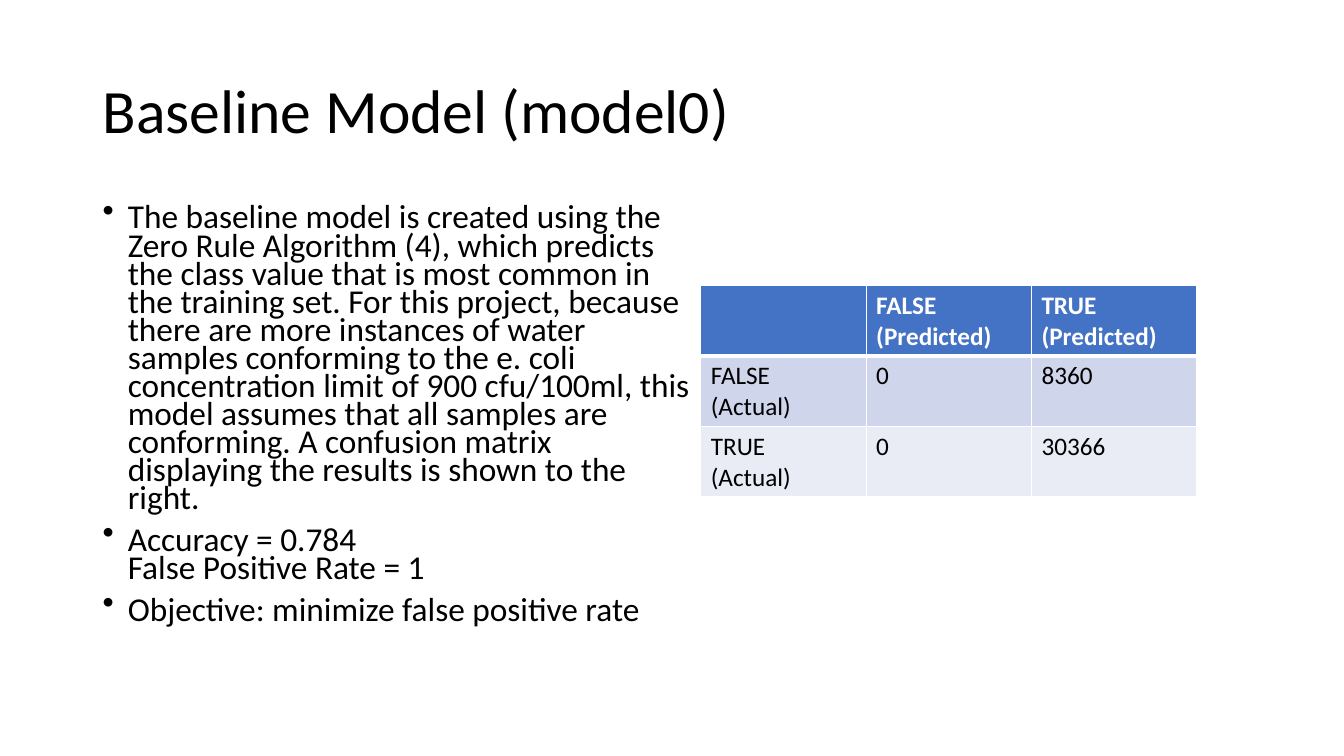
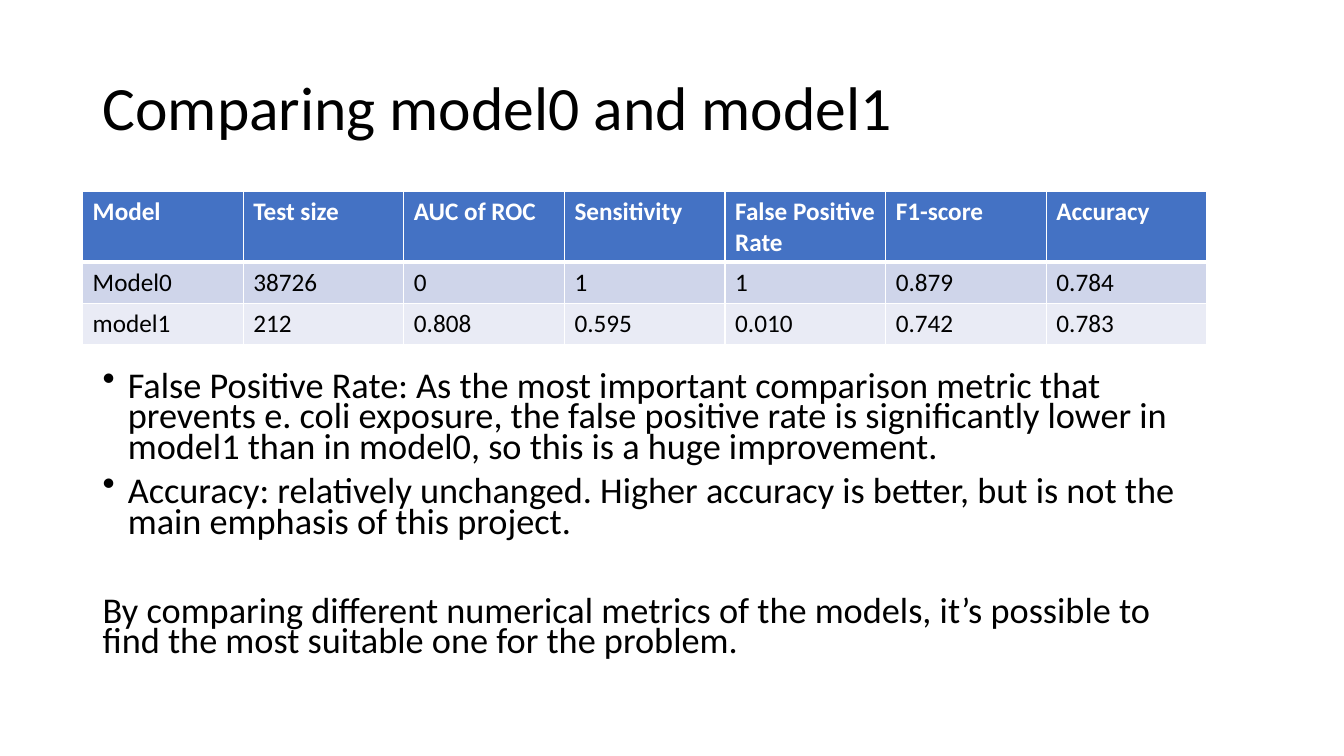
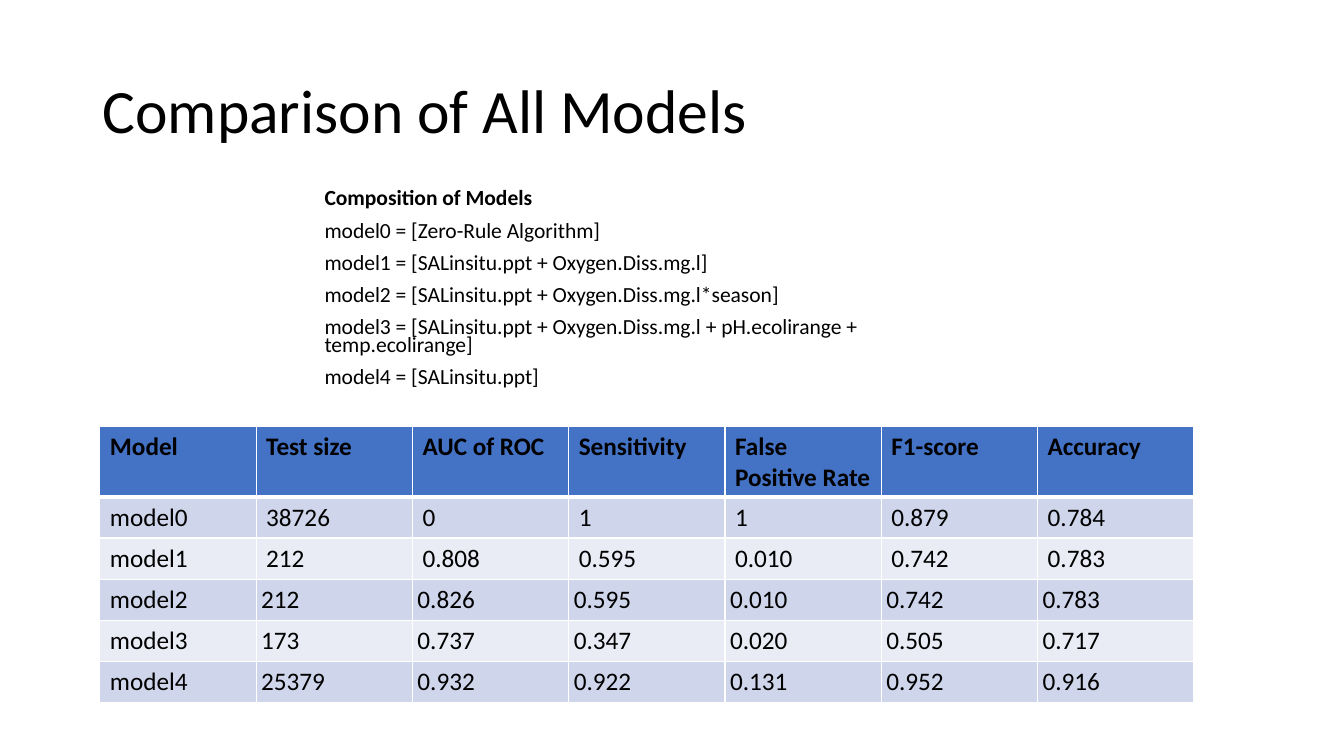
import dataclasses

import pptx
import pptx.dml.color
import pptx.enum.text
import pptx.oxml
import pptx.oxml.ns
import pptx.util

Pt = pptx.util.Pt


@dataclasses.dataclass(frozen=True)
class Theme:
    """Colours, font and type sizes shared by the slides."""
    font: str = "Calibri"
    ink: str = "000000"
    paper: str = "FFFFFF"
    header: str = "4472C4"
    bands: tuple = ("CFD5EA", "E9EBF5")
    title: float = 44
    cell: float = 18
    line_pitch: float = 0.7
    space: float = 10
    tall_row: float = 9.33
    low_row: float = 5.44


THEME = Theme()
METRICS = ["Model", "Test size", "AUC of ROC", "Sensitivity",
           "False Positive Rate", "F1-score", "Accuracy"]
BASELINE = ["38726", "0", "1", "1", "0.879", "0.784"]
MODEL1 = ["model1", "212", "0.808", "0.595", "0.010", "0.742", "0.783"]


def rgb(value):
    """Return a colour object for a hex string."""
    return pptx.dml.color.RGBColor.from_string(value)


def place(prs, box):
    """Turn a box in percent of the slide into lengths."""
    sides = (prs.slide_width, prs.slide_height) * 2
    return [int(side * share / 100) for side, share in zip(sides, box)]


def style(p, size, color=THEME.ink, bold=False):
    """Set the font of a paragraph."""
    p.font.name, p.font.size, p.font.bold = THEME.font, Pt(size), bold
    p.font.color.rgb = rgb(color)


def add_bullet(p):
    """Give a paragraph a hanging round bullet."""
    pPr = p._p.get_or_add_pPr()
    pPr.set("marL", str(pptx.util.Inches(0.25)))
    pPr.set("indent", str(-pptx.util.Inches(0.25)))
    bullet = pptx.oxml.parse_xml(
        f'<a:buChar {pptx.oxml.ns.nsdecls("a")} char="•"/>')
    pPr.insert_element_before(bullet, "a:tabLst", "a:defRPr", "a:extLst")


def add_text(prs, s, box):
    """Add a wrapping text box and return its frame."""
    tf = s.shapes.add_textbox(*place(prs, box)).text_frame
    tf.word_wrap = True
    return tf


def add_slide(prs, title, top=5.33):
    """Add a blank slide with its title."""
    s = prs.slides.add_slide(prs.slide_layouts[6])
    tf = add_text(prs, s, (6.9, top, 86.27, 19.33))
    tf.vertical_anchor = pptx.enum.text.MSO_ANCHOR.MIDDLE
    p = tf.paragraphs[0]
    p.text, p.line_spacing = title, 0.9
    style(p, THEME.title)
    return s


def add_body(prs, s, box, lines, size, bullets=0, bold_lines=0):
    """Add body paragraphs, the first ones bulleted or bold, and return them."""
    tf = add_text(prs, s, box)
    for i, line in enumerate(lines):
        p = tf.add_paragraph() if i else tf.paragraphs[0]
        p.text, p.line_spacing = line, THEME.line_pitch
        p.space_before = Pt(THEME.space)
        style(p, size, bold=i < bold_lines)
        if i < bullets:
            add_bullet(p)
    return tf.paragraphs


def add_borders(cell, top, bottom):
    """Draw white cell borders with the given top and bottom widths."""
    tcPr = cell._tc.get_or_add_tcPr()
    for side, width in zip("LRTB", (1, 1, top, bottom)):
        tcPr.append(pptx.oxml.parse_xml(
            f'<a:ln{side} {pptx.oxml.ns.nsdecls("a")} w="{Pt(width)}">'
            f'<a:solidFill><a:srgbClr val="{THEME.paper}"/></a:solidFill>'
            f'</a:ln{side}>'))


def tighten(cell):
    """Centre a cell vertically and narrow its margins."""
    cell.vertical_anchor = pptx.enum.text.MSO_ANCHOR.MIDDLE
    cell.margin_left = cell.margin_right = pptx.util.Inches(0.05)
    cell.margin_top = cell.margin_bottom = pptx.util.Inches(0.02)


def add_grid(prs, s, origin, width, rows, row_share=THEME.low_row,
             header_ink=THEME.paper, tight_from=None):
    """Add a banded table with equal columns and a taller header."""
    shares = [THEME.tall_row] + [row_share] * (len(rows) - 1)
    box = (*origin, width, sum(shares))
    table = s.shapes.add_table(len(rows), len(rows[0]), *place(prs, box)).table
    table.first_row = table.horz_banding = False
    for i, values in enumerate(rows):
        table.rows[i].height = int(prs.slide_height * shares[i] / 100)
        fill = THEME.bands[(i - 1) % 2] if i else THEME.header
        for j, value in enumerate(values):
            cell = table.cell(i, j)
            cell.text = value
            add_borders(cell, 3 if i == 1 else 1, 1 if i else 3)
            cell.fill.solid()
            cell.fill.fore_color.rgb = rgb(fill)
            for p in cell.text_frame.paragraphs:
                style(p, THEME.cell, THEME.ink if i else header_ink, i == 0)
            if tight_from and i >= tight_from and j:
                tighten(cell)


def baseline_slide(prs):
    """Build the slide on the baseline model."""
    s = add_slide(prs, "Baseline Model (model0)")
    add_body(prs, s, (6.9, 26.67, 45.24, 63.47), [
        "The baseline model is created using the Zero Rule Algorithm (4), "
        "which predicts the class value that is most common in the training "
        "set. For this project, because there are more instances of water "
        "samples conforming to the e. coli concentration limit of 900 "
        "cfu/100ml, this model assumes that all samples are conforming. A "
        "confusion matrix displaying the results is shown to the right.",
        "Accuracy = 0.784\vFalse Positive Rate = 1",
        "Objective: minimize false positive rate",
    ], 23.8, bullets=3)
    add_grid(prs, s, (52.14, 37.73), 36.91, [
        ["", "FALSE\n(Predicted)", "TRUE\n(Predicted)"],
        ["FALSE\n(Actual)", "0", "8360"],
        ["TRUE\n(Actual)", "0", "30366"],
    ], row_share=THEME.tall_row)


def pair_slide(prs):
    """Build the slide comparing two models."""
    s = add_slide(prs, "Comparing model0 and model1", top=4.93)
    paragraphs = add_body(prs, s, (6.9, 48.8, 82.9, 40.4), [
        "False Positive Rate: As the most important comparison metric that "
        "prevents e. coli exposure, the false positive rate is significantly "
        "lower in model1 than in model0, so this is a huge improvement.",
        "Accuracy: relatively unchanged. Higher accuracy is better, but is "
        "not the main emphasis of this project.",
        "By comparing different numerical metrics of the models, it’s "
        "possible to find the most suitable one for the problem.",
    ], 25.9, bullets=2)
    paragraphs[-1].space_before = Pt(42)
    add_grid(prs, s, (6.15, 25.33), 83.65,
             [METRICS, ["Model0", *BASELINE], MODEL1])


def overview_slide(prs):
    """Build the slide comparing all models."""
    s = add_slide(prs, "Comparison of All Models")
    add_body(prs, s, (23.41, 24.67, 51.54, 26.13), [
        "Composition of Models",
        "model0 = [Zero-Rule Algorithm]",
        "model1 = [SALinsitu.ppt + Oxygen.Diss.mg.l]",
        "model2 = [SALinsitu.ppt + Oxygen.Diss.mg.l*season]",
        "model3 = [SALinsitu.ppt + Oxygen.Diss.mg.l + pH.ecolirange + "
        "temp.ecolirange]",
        "model4 = [SALinsitu.ppt]",
    ], 15.4, bold_lines=1)
    add_grid(prs, s, (7.43, 56.4), 81.4, [
        METRICS,
        ["model0", *BASELINE],
        MODEL1,
        ["model2", "212", "0.826", "0.595", "0.010", "0.742", "0.783"],
        ["model3", "173", "0.737", "0.347", "0.020", "0.505", "0.717"],
        ["model4", "25379", "0.932", "0.922", "0.131", "0.952", "0.916"],
    ], header_ink=THEME.ink, tight_from=3)


def main():
    """Build and save the presentation."""
    prs = pptx.Presentation()
    prs.slide_width = pptx.util.Inches(13.33)
    prs.slide_height = pptx.util.Inches(7.5)
    for build in (baseline_slide, pair_slide, overview_slide):
        build(prs)
    prs.save("out.pptx")


if __name__ == "__main__":
    main()
